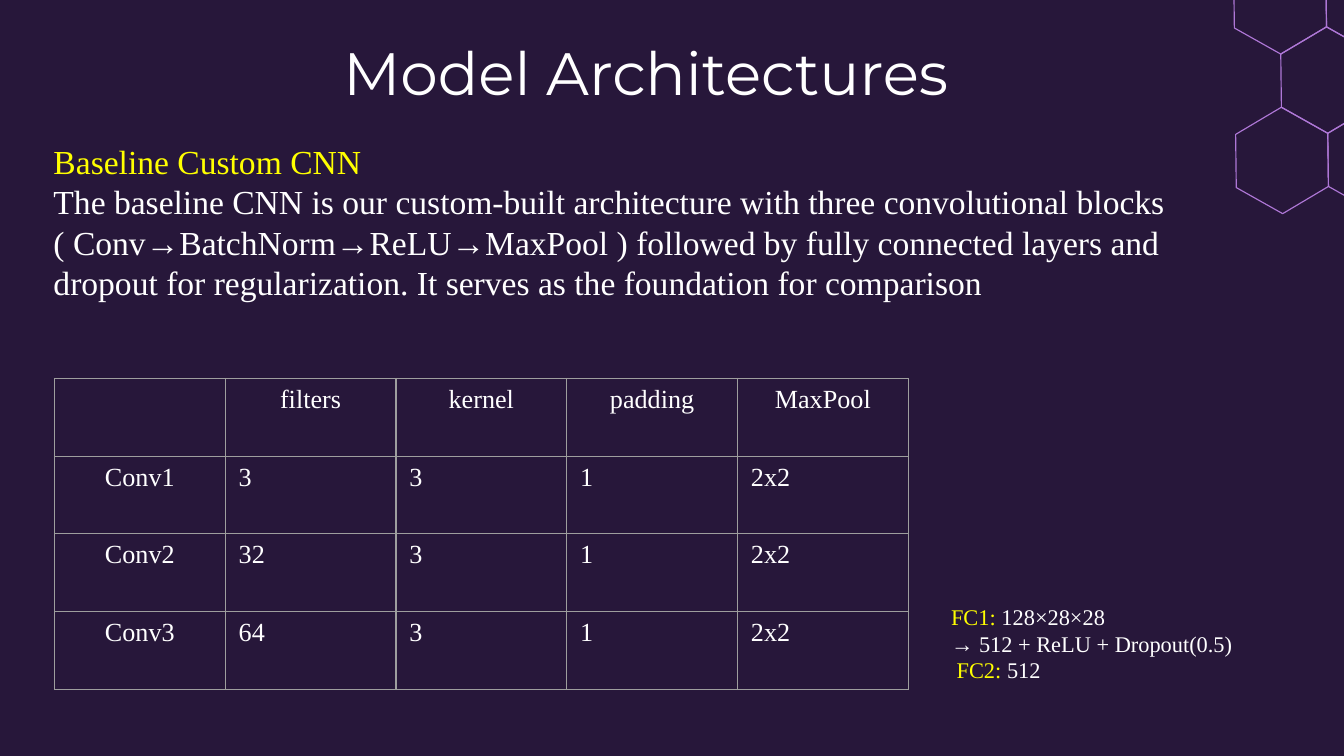
from math import cos, radians, sin, sqrt

from lxml.etree import SubElement
from pptx import Presentation
from pptx.dml.color import RGBColor
from pptx.enum.text import MSO_ANCHOR, PP_ALIGN
from pptx.oxml.ns import qn
from pptx.util import Pt

BACK, WHITE, YELLOW = "27173A", "FFFFFF", "FFFF00"
GRID, VIOLET = "9E9E9E", "AE77D6"


def color(code):
    return RGBColor.from_string(code)


class Deck:
    head = "Montserrat"
    body = "Times New Roman"

    def __init__(self, prs):
        self.slide = prs.slides.add_slide(prs.slide_layouts[5])
        fill = self.slide.background.fill
        fill.solid()
        fill.fore_color.rgb = color(BACK)

    def style(self, run, size, tint=WHITE, face=None):
        run.font.name = face or self.body
        run.font.size = Pt(size)
        run.font.color.rgb = color(tint)

    def title(self, text, x, y, w, h):
        shape = self.slide.shapes.title
        shape.left, shape.top, shape.width, shape.height = map(Pt, (x, y, w, h))
        frame = shape.text_frame
        frame.margin_left = frame.margin_right = Pt(7.2)
        frame.margin_top = frame.margin_bottom = Pt(7.2)
        frame.vertical_anchor = MSO_ANCHOR.TOP
        frame.text = text
        para = frame.paragraphs[0]
        para.alignment = PP_ALIGN.CENTER
        self.style(para.runs[0], 32, face=self.head)

    def text(self, lines, size, x, y, w, h, anchor=MSO_ANCHOR.MIDDLE):
        box = self.slide.shapes.add_textbox(*map(Pt, (x, y, w, h)))
        frame = box.text_frame
        frame.word_wrap = True
        frame.vertical_anchor = anchor
        for i, line in enumerate(lines):
            para = frame.paragraphs[0] if i == 0 else frame.add_paragraph()
            for words, tint in line:
                run = para.add_run()
                run.text = words
                self.style(run, size, tint)

    def hexagon(self, x, y, radius, tilt):
        turns = [radians(tilt + 30 + 60 * k) for k in range(6)]
        dots = [(Pt(x + radius * cos(a)), Pt(y + radius * sin(a))) for a in turns]
        pen = self.slide.shapes.build_freeform(*dots[0], scale=1.0)
        pen.add_line_segments(dots[1:], close=True)
        shape = pen.convert_to_shape()
        shape.shadow.inherit = False
        shape.fill.background()
        shape.line.color.rgb = color(VIOLET)
        shape.line.width = Pt(0.61)

    def border(self, cell):
        props = cell._tc.get_or_add_tcPr()
        for side in ("a:lnL", "a:lnR", "a:lnT", "a:lnB"):
            line = SubElement(props, qn(side), w=str(Pt(0.75)))
            fill = SubElement(line, qn("a:solidFill"))
            SubElement(fill, qn("a:srgbClr"), val=GRID)

    def table(self, rows, size, x, y, w, h):
        frame = self.slide.shapes.add_table(
            len(rows), len(rows[0]), *map(Pt, (x, y, w, h)))
        table = frame.table
        table.first_row = table.horz_banding = False
        for r, row in enumerate(rows):
            for c, words in enumerate(row):
                cell = table.cell(r, c)
                self.border(cell)
                cell.fill.background()
                cell.text = words
                para = cell.text_frame.paragraphs[0]
                if r == 0 or c == 0:
                    para.alignment = PP_ALIGN.CENTER
                for run in para.runs:
                    self.style(run, size)


def main():
    prs = Presentation()
    prs.slide_width, prs.slide_height = Pt(720), Pt(405)
    deck = Deck(prs)

    # Honeycomb in the corner: a middle cell and four neighbours
    mid_x, mid_y, radius, tilt = 711, 42.9, 28.5, -0.7
    deck.hexagon(mid_x, mid_y, radius, tilt)
    for turn in (60, 120, 240, 300):
        angle, step = radians(turn + tilt), radius * sqrt(3)
        deck.hexagon(mid_x + step * cos(angle), mid_y + step * sin(angle),
                     radius, tilt)

    # Title and summary
    deck.title("Model Architectures\u00a0", 46.8, 12.2, 607, 45.4)
    deck.text([
        [("Baseline Custom CNN", YELLOW)],
        [("The baseline CNN is our custom-built architecture with three "
          "convolutional blocks (\u00a0Conv→BatchNorm→ReLU→MaxPool ) followed by "
          "fully connected layers and dropout for regularization. It serves "
          "as the foundation for comparison", WHITE)],
    ], 18, 21.6, 72, 666.7, 116.6, MSO_ANCHOR.TOP)

    # Convolution layers
    deck.table([
        ("", "filters", "kernel", "padding", "MaxPool"),
        ("Conv1", "3", "3", "1", "2x2"),
        ("Conv2", "32", "3", "1", "2x2"),
        ("Conv3", "64", "3", "1", "2x2"),
    ], 14, 29.2, 202.8, 457.5, 166.5)

    # Fully connected layers
    deck.text([
        [("FC1: ", YELLOW), ("128×28×28", WHITE)],
        [("→ 512 + ReLU + Dropout(0.5)", WHITE)],
        [(" FC2: ", YELLOW), ("512", WHITE)],
    ], 12, 502.4, 319, 259, 51)

    prs.save("out.pptx")


if __name__ == "__main__":
    main()
